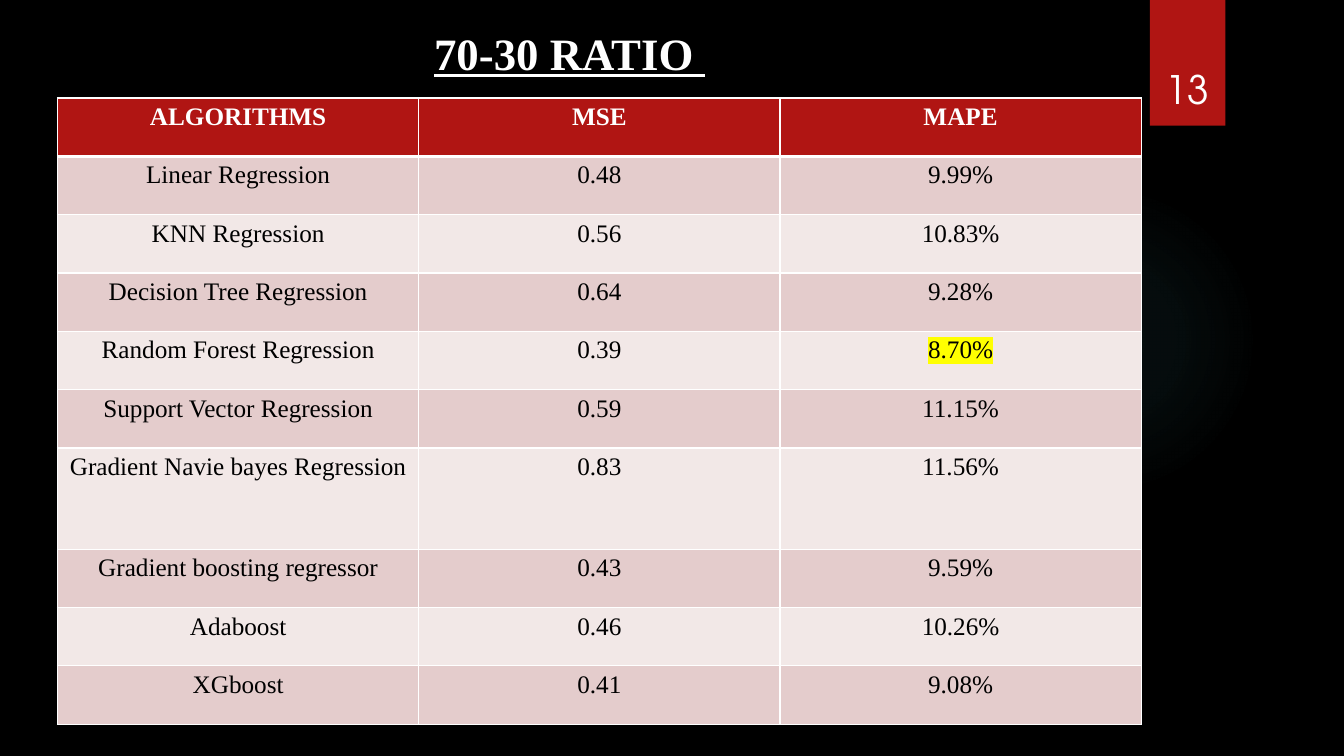
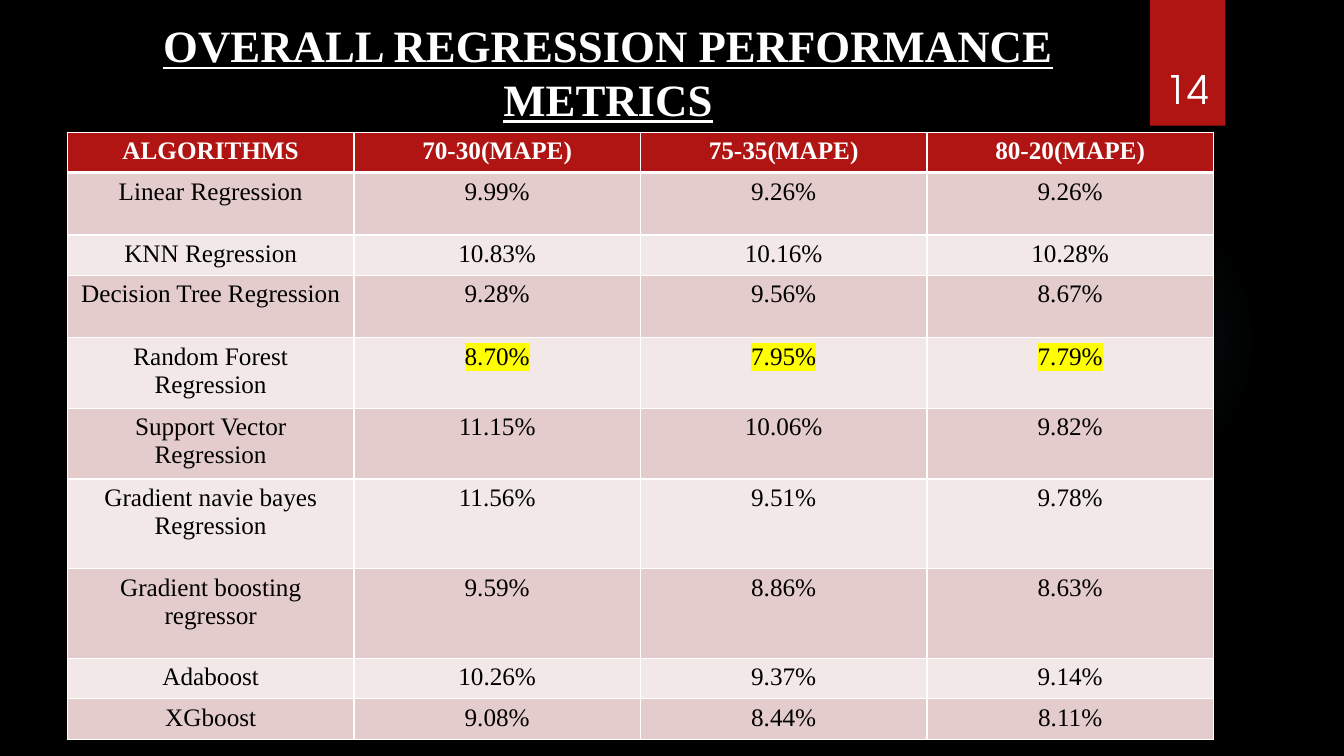
from dataclasses import dataclass

from lxml import etree
from pptx import Presentation
from pptx.dml.color import RGBColor as RGB
from pptx.enum.shapes import MSO_SHAPE as SHAPE
from pptx.enum.text import MSO_ANCHOR as ANCHOR, PP_ALIGN as ALIGN
from pptx.oxml import parse_xml
from pptx.oxml.ns import nsdecls, qn
from pptx.util import Cm, Pt


@dataclass(frozen=True)
class Theme:
    back: str = "000000"
    accent: str = "B01513"
    glow: str = "50B9C1"
    light: str = "FFFFFF"
    dark: str = "000000"
    bands: tuple = ("E4CCCC", "F2E8E7")
    mark: str = "FFFF00"
    serif: str = "Times New Roman"
    sans: str = "TeX Gyre Adventor"
    title_size: int = 32
    number_size: int = 28
    table_size: int = 18
    rule: int = 1
    header_rule: int = 3


T = Theme()


def rgb(value):
    return RGB.from_string(value)


def write(tf, text, font, size, color, bold=False, underline=False, align=ALIGN.CENTER):
    p = tf.paragraphs[0]
    p.alignment = align
    p.font.name, p.font.size = font, Pt(size)
    p.font.bold, p.font.underline = bold, underline
    p.font.color.rgb = rgb(color)
    r = p.add_run()
    r.text = text
    return r


def add_text(s, box, text, font, size, anchor=ANCHOR.TOP, **style):
    tf = s.shapes.add_textbox(*map(Cm, box)).text_frame
    tf.word_wrap = True
    tf.vertical_anchor = anchor
    write(tf, text, font, size, T.light, **style)


def add_plain(s, kind, box):
    sp = s.shapes.add_shape(kind, *map(Cm, box))
    sp.shadow.inherit = False
    sp.line.fill.background()
    return sp


# Soft round glow behind the content
def add_glow(s, left, top, size):
    sp = add_plain(s, SHAPE.OVAL, (left, top, size, size))
    stops = "".join(
        f'<a:gs pos="{pos}000"><a:srgbClr val="{T.glow}">'
        f'<a:alpha val="{alpha}000"/></a:srgbClr></a:gs>'
        for pos, alpha in ((0, 7), (36, 6), (69, 0)))
    gradient = parse_xml(
        f'<a:gradFill {nsdecls("a")} rotWithShape="1"><a:gsLst>{stops}</a:gsLst>'
        '<a:path path="circle"><a:fillToRect l="50000" t="50000" r="50000" b="50000"/>'
        '</a:path></a:gradFill>')
    sp.element.spPr.find(qn("a:prstGeom")).addnext(gradient)


# Red tab with the page number
def add_page_tab(s, left, top, width, height, number):
    tab = add_plain(s, SHAPE.RECTANGLE, (left, top, width, height))
    tab.fill.solid()
    tab.fill.fore_color.rgb = rgb(T.accent)
    margin = 0.22
    add_text(s, (left - margin, top + 0.81, width + 2 * margin, 2.14), str(number),
             T.sans, T.number_size, anchor=ANCHOR.BOTTOM)


def set_borders(cell, top, bottom):
    tc_pr = cell._tc.get_or_add_tcPr()
    widths = {"lnL": T.rule, "lnR": T.rule, "lnT": top, "lnB": bottom}
    for tag, width in widths.items():
        ln = etree.SubElement(tc_pr, qn(f"a:{tag}"), w=str(Pt(width)))
        fill = etree.SubElement(ln, qn("a:solidFill"))
        etree.SubElement(fill, qn("a:srgbClr"), val=T.light)


def highlight(r):
    r_pr = r.font._element
    mark = etree.SubElement(r_pr, qn("a:highlight"))
    etree.SubElement(mark, qn("a:srgbClr"), val=T.mark)


# Banded table: the first row is the header, marked values are highlighted
def add_metrics(s, left, top, width, rows, heights, marked):
    cols = len(rows[0])
    table = s.shapes.add_table(len(rows), cols, Cm(left), Cm(top),
                               Cm(width), Cm(sum(heights))).table
    for col in table.columns:
        col.width = Cm(width / cols)
    for i, (values, height) in enumerate(zip(rows, heights)):
        table.rows[i].height = Cm(height)
        header = i == 0
        for j, value in enumerate(values):
            cell = table.cell(i, j)
            set_borders(cell, T.header_rule if i == 1 else T.rule,
                        T.header_rule if header else T.rule)
            cell.fill.solid()
            cell.fill.fore_color.rgb = rgb(T.accent if header else T.bands[(i - 1) % 2])
            r = write(cell.text_frame, value, T.serif, T.table_size,
                      T.light if header else T.dark, bold=header)
            if value in marked:
                highlight(r)


def add_metrics_slide(prs, number, title, title_box, align, **metrics):
    s = prs.slides.add_slide(prs.slide_layouts[6])
    s.background.fill.solid()
    s.background.fill.fore_color.rgb = rgb(T.back)
    add_glow(s, 23.9, 4.65, 7.82)
    add_page_tab(s, 28.98, 0, 1.9, 3.17, number)
    add_text(s, title_box, title, T.serif, T.title_size,
             bold=True, underline=True, align=align)
    add_metrics(s, **metrics)


RATIO_ROWS = [
    ("ALGORITHMS", "MSE", "MAPE"),
    ("Linear Regression", "0.48", "9.99%"),
    ("KNN Regression", "0.56", "10.83%"),
    ("Decision Tree Regression", "0.64", "9.28%"),
    ("Random Forest Regression", "0.39", "8.70%"),
    ("Support Vector Regression", "0.59", "11.15%"),
    ("Gradient Navie bayes Regression", "0.83", "11.56%"),
    ("Gradient boosting regressor", "0.43", "9.59%"),
    ("Adaboost", "0.46", "10.26%"),
    ("XGboost", "0.41", "9.08%"),
]

OVERALL_ROWS = [
    ("ALGORITHMS", "70-30(MAPE)", "75-35(MAPE)", "80-20(MAPE)"),
    ("Linear Regression", "9.99%", "9.26%", "9.26%"),
    ("KNN Regression", "10.83%", "10.16%", "10.28%"),
    ("Decision Tree Regression", "9.28%", "9.56%", "8.67%"),
    ("Random Forest Regression", "8.70%", "7.95%", "7.79%"),
    ("Support Vector Regression", "11.15%", "10.06%", "9.82%"),
    ("Gradient navie bayes Regression", "11.56%", "9.51%", "9.78%"),
    ("Gradient boosting regressor", "9.59%", "8.86%", "8.63%"),
    ("Adaboost", "10.26%", "9.37%", "9.14%"),
    ("XGboost", "9.08%", "8.44%", "8.11%"),
]


def main():
    prs = Presentation()
    prs.slide_width, prs.slide_height = Cm(33.87), Cm(19.05)

    add_metrics_slide(
        prs, 13, "70-30 RATIO ", (10.69, 0.53, 18.42, 1.62), ALIGN.LEFT,
        left=1.45, top=2.47, width=27.31, rows=RATIO_ROWS,
        heights=[1.47] * 6 + [2.55] + [1.47] * 3, marked={"8.70%"})

    one, gap, two, tall = 1.02, 1.57, 1.78, 2.26
    add_metrics_slide(
        prs, 14, "OVERALL REGRESSION PERFORMANCE METRICS",
        (1.7, 0.33, 27.25, 3), ALIGN.CENTER,
        left=1.7, top=3.33, width=28.88, rows=OVERALL_ROWS,
        heights=[one, gap, one, gap, two, two, tall, tall, one, one],
        marked={"8.70%", "7.95%", "7.79%"})

    prs.save("out.pptx")


if __name__ == "__main__":
    main()
